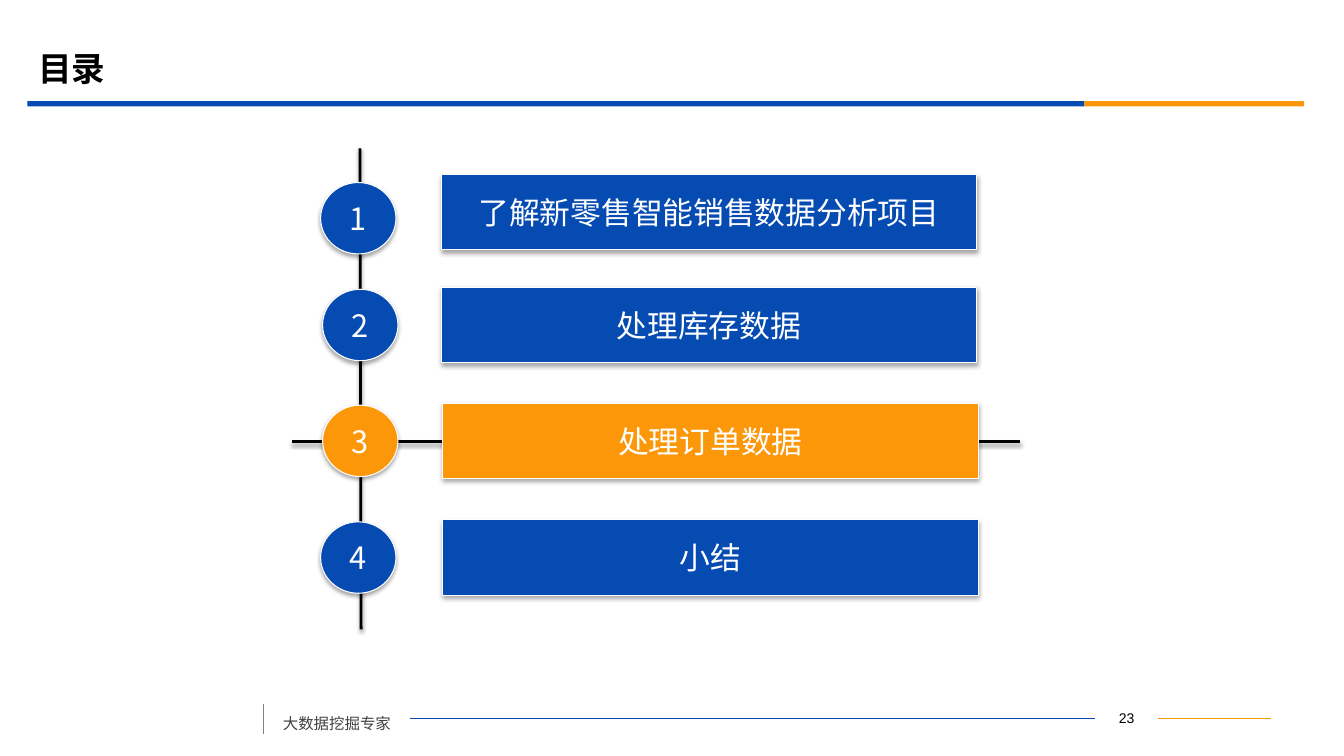
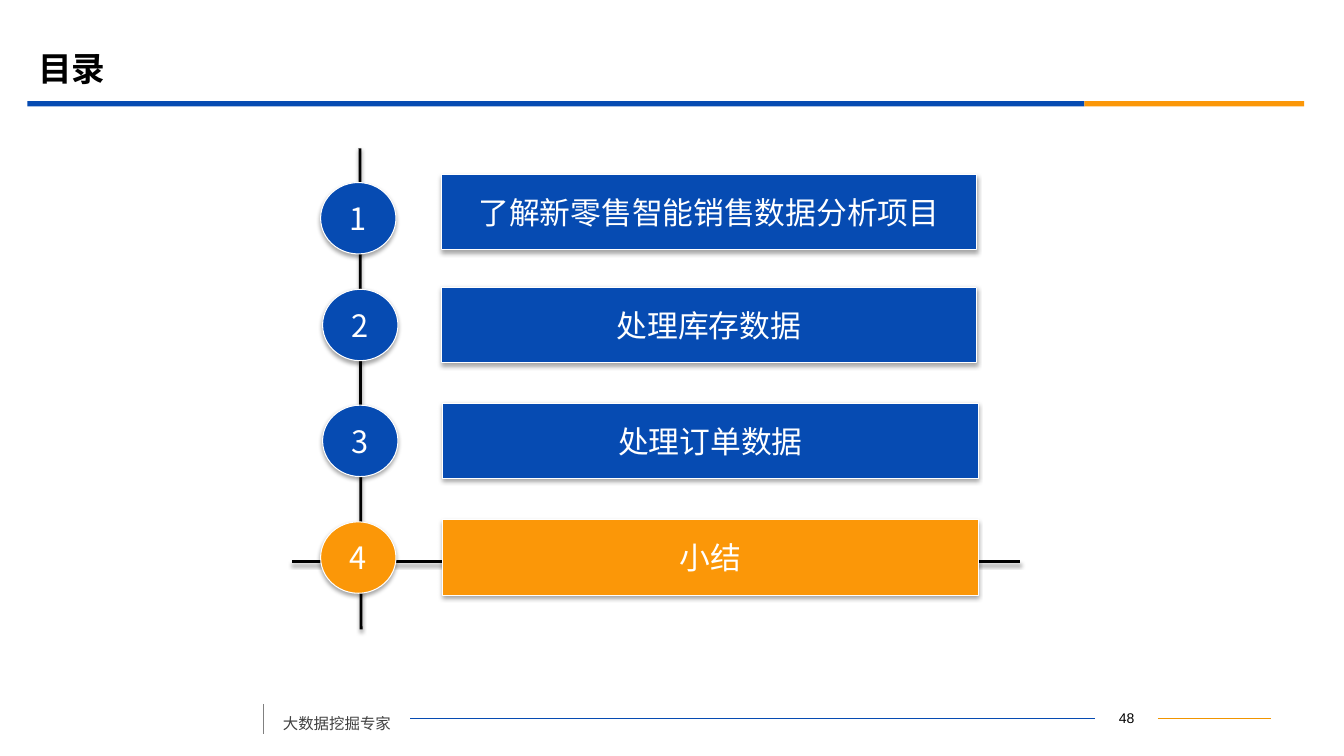
from dataclasses import dataclass
from typing import Any

from lxml.etree import SubElement
from pptx import Presentation
from pptx.dml.color import RGBColor
from pptx.enum.shapes import MSO_CONNECTOR, MSO_SHAPE
from pptx.enum.text import MSO_ANCHOR, PP_ALIGN
from pptx.oxml.ns import qn
from pptx.util import Cm, Pt

COLORS = {
    "blue": "064BB2",
    "orange": "FB9708",
    "footer_orange": "F19500",
    "gray": "808080",
    "dark_gray": "404040",
    "black": "000000",
    "white": "FFFFFF",
}
CHINESE_FONT = "Noto Sans CJK SC"
NUMBER_FONT = "Arial"

BAR_WIDTH, BAR_HEIGHT = 13.49, 1.9
CIRCLE_WIDTH, CIRCLE_HEIGHT = 1.9, 1.8


@dataclass(frozen=True)
class Chapter:
    name: str
    bar_left: float
    bar_top: float
    circle_left: float
    circle_top: float


@dataclass(frozen=True)
class Agenda:
    page_number: int
    current: int
    marker_y: float


@dataclass(frozen=True)
class Rule:
    start: tuple[float, float]
    end: tuple[float, float]
    color: str
    width: float


@dataclass(frozen=True)
class Band:
    left: float
    width: float
    color: str


CHAPTERS = [
    Chapter("了解新零售智能销售数据分析项目", 11.12, 4.4, 8.08, 4.6),
    Chapter("处理库存数据", 11.12, 7.24, 8.13, 7.29),
    Chapter("处理订单数据", 11.16, 10.16, 8.13, 10.21),
    Chapter("小结", 11.16, 13.1, 8.08, 13.15),
]
AGENDAS = [Agenda(23, 3, 11.12), Agenda(48, 4, 14.15)]
TITLE_BANDS = [Band(0.69, 26.64, "blue"), Band(27.33, 5.54, "orange")]
FOOTER_RULES = [
    Rule((29.18, 18.1), (32.03, 18.1), "footer_orange", 0.75),
    Rule((10.34, 18.1), (27.6, 18.1), "blue", 0.75),
    Rule((6.64, 17.74), (6.64, 18.5), "gray", 1.25),
]
TIMELINE = Rule((9.07, 3.74), (9.1, 15.86), "black", 2)


def rgb(name: str) -> RGBColor:
    return RGBColor.from_string(COLORS[name])


def write(shape: Any, text: str, *, size: float, color: str, font: str = CHINESE_FONT,
          bold: bool = False, align: PP_ALIGN = PP_ALIGN.LEFT,
          anchor: MSO_ANCHOR = MSO_ANCHOR.TOP, wrap: bool = True) -> Any:
    """Fill the shape with one formatted paragraph and return that paragraph."""
    frame = shape.text_frame
    frame.word_wrap = wrap
    frame.vertical_anchor = anchor
    para = frame.paragraphs[0]
    para.alignment = align
    span = para.add_run()
    span.text = text
    span.font.name = font
    span.font.size = Pt(size)
    span.font.bold = bold
    span.font.color.rgb = rgb(color)
    SubElement(span.font._element, qn("a:ea"), typeface=font)
    return para


def set_shadow(shape: Any, opacity: int, distance: float) -> None:
    """Give the shape a soft shadow that falls straight down."""
    effects = SubElement(shape._element.spPr, qn("a:effectLst"))
    shadow = SubElement(effects, qn("a:outerShdw"), blurRad=str(Pt(3.1)),
                        dist=str(Pt(distance)), dir="5400000", rotWithShape="0")
    tint = SubElement(shadow, qn("a:srgbClr"), val=COLORS["black"])
    SubElement(tint, qn("a:alpha"), val=str(opacity * 1000))


def add_rule(page: Any, rule: Rule, shadow: bool = False) -> None:
    line = page.shapes.add_connector(MSO_CONNECTOR.STRAIGHT, *map(Cm, rule.start + rule.end))
    line.line.color.rgb = rgb(rule.color)
    line.line.width = Pt(rule.width)
    if shadow:
        set_shadow(line, 38, 1.6)
    else:
        SubElement(line._element.spPr, qn("a:effectLst"))


def add_band(page: Any, band: Band) -> None:
    bar = page.shapes.add_shape(MSO_SHAPE.RECTANGLE, Cm(band.left), Cm(2.55),
                                Cm(band.width), Cm(0.13))
    bar.shadow.inherit = False
    bar.fill.solid()
    bar.fill.fore_color.rgb = rgb(band.color)
    bar.line.fill.background()


def add_label(page: Any, kind: MSO_SHAPE, text: str, color: str,
              left: float, top: float, width: float, height: float) -> None:
    """Draw a filled shape with a white outline and centred white text."""
    label = page.shapes.add_shape(kind, Cm(left), Cm(top), Cm(width), Cm(height))
    label.fill.solid()
    label.fill.fore_color.rgb = rgb(color)
    label.line.color.rgb = rgb("white")
    label.line.width = Pt(0.75)
    set_shadow(label, 35, 1.8)
    write(label, text, size=22, color="white", align=PP_ALIGN.CENTER,
          anchor=MSO_ANCHOR.MIDDLE, wrap=False)


def add_frame(page: Any, title: str, page_number: int) -> None:
    """Draw what every page shares: title, bands and footer."""
    heading = page.shapes.title
    heading.left, heading.top, heading.width, heading.height = map(Cm, (0.71, 0.99, 30.48, 1.47))
    write(heading, title, size=24, color="black", bold=True, anchor=MSO_ANCHOR.MIDDLE)
    for band in TITLE_BANDS:
        add_band(page, band)
    for rule in FOOTER_RULES:
        add_rule(page, rule)
    number = page.shapes.add_textbox(Cm(27.6), Cm(17.75), Cm(1.58), Cm(0.64))
    write(number, str(page_number), size=10, color="black", font=NUMBER_FONT,
          align=PP_ALIGN.CENTER)
    motto = page.shapes.add_textbox(Cm(6.88), Cm(17.63), Cm(3.46), Cm(0.97))
    para = write(motto, "大数据挖掘专家", size=11, color="dark_gray")
    para.line_spacing = 1.5


def add_agenda(deck: Any, agenda: Agenda) -> None:
    page = deck.slides.add_slide(deck.slide_layouts[5])
    add_frame(page, "目录", agenda.page_number)
    add_rule(page, TIMELINE, shadow=True)
    marker = Rule((7.37, agenda.marker_y), (25.7, agenda.marker_y), "black", 2)
    add_rule(page, marker, shadow=True)
    for number, chapter in enumerate(CHAPTERS, start=1):
        color = "orange" if number == agenda.current else "blue"
        add_label(page, MSO_SHAPE.ACTION_BUTTON_CUSTOM, chapter.name, color,
                  chapter.bar_left, chapter.bar_top, BAR_WIDTH, BAR_HEIGHT)
        add_label(page, MSO_SHAPE.OVAL, str(number), color,
                  chapter.circle_left, chapter.circle_top, CIRCLE_WIDTH, CIRCLE_HEIGHT)


def main() -> None:
    deck = Presentation()
    deck.slide_width, deck.slide_height = Cm(33.87), Cm(19.05)
    for agenda in AGENDAS:
        add_agenda(deck, agenda)
    deck.save("out.pptx")


if __name__ == "__main__":
    main()
